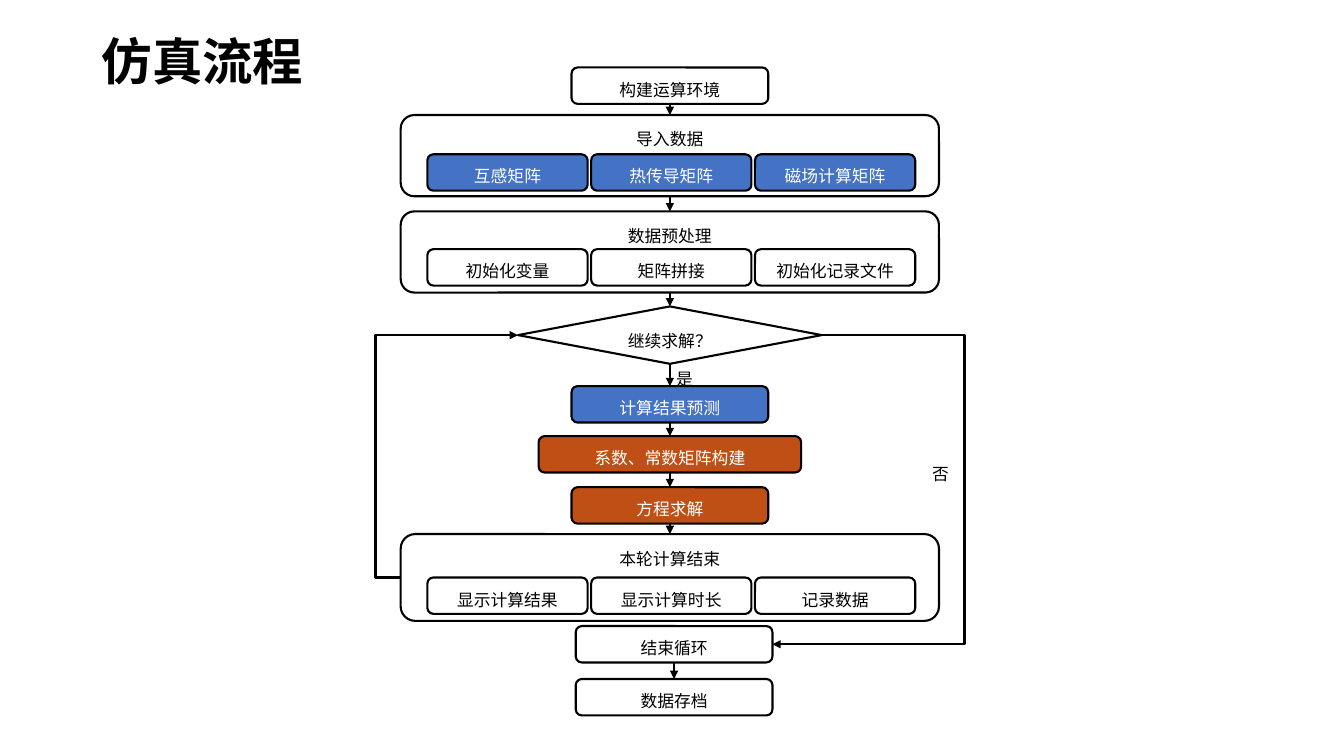
from lxml.etree import SubElement
from pptx import Presentation
from pptx.dml.color import RGBColor
from pptx.enum.shapes import MSO_CONNECTOR, MSO_SHAPE
from pptx.enum.text import MSO_ANCHOR, MSO_AUTO_SIZE, PP_ALIGN
from pptx.oxml.ns import qn
from pptx.util import Pt

COLORS = {"black": "000000", "white": "FFFFFF", "blue": "4472C4", "orange": "C04F15"}
COLORS = {name: RGBColor.from_string(value) for name, value in COLORS.items()}

TOP, LEFT, BOTTOM, RIGHT = range(4)
AXIS = 478.5
END_AXIS = 481.5
STEP_WIDTH, STEP_HEIGHT = 140.5, 26
STAGE_WIDTH = 384.5
PART_WIDTH, PART_PITCH, PART_AXIS = 114.5, 117, 479.5


def add_node(shapes, text, center, top, width=STEP_WIDTH, height=STEP_HEIGHT,
             fill="white", preset=MSO_SHAPE.ROUNDED_RECTANGLE):
    """Add a flowchart box, or a bare label when preset is None."""
    place = Pt(center - width / 2), Pt(top), Pt(width), Pt(height)
    if preset is None:
        box = shapes.add_textbox(*place)
    else:
        box = shapes.add_shape(preset, *place)
        box.shadow.inherit = False
        box.fill.solid()
        box.fill.fore_color.rgb = COLORS[fill]
        box.line.color.rgb = COLORS["black"]
        box.line.width = Pt(1.5)
    frame = box.text_frame
    frame.text = text
    frame.word_wrap = True
    frame.vertical_anchor = MSO_ANCHOR.TOP
    frame.margin_top = 0
    para = frame.paragraphs[0]
    para.alignment = PP_ALIGN.CENTER
    para.line_spacing = 1.5
    font = para.runs[0].font
    font.name = "Arial"
    font.size = Pt(12)
    font.color.rgb = COLORS["black" if fill == "white" else "white"]
    return box


deck = Presentation()
deck.slide_width, deck.slide_height = Pt(960), Pt(540)
page = deck.slides.add_slide(deck.slide_layouts[5])

# Title
title = page.shapes.title
title.left, title.top, title.width, title.height = Pt(65.5), Pt(31.7), Pt(506), Pt(28.8)
title_frame = title.text_frame
title_frame.text = "仿真流程"
title_frame.auto_size = MSO_AUTO_SIZE.NONE
title_frame.vertical_anchor = MSO_ANCHOR.MIDDLE
title_para = title_frame.paragraphs[0]
title_para.alignment = PP_ALIGN.LEFT
title_para.line_spacing = 0.9
title_font = title_para.runs[0].font
title_font.name = "Noto Sans CJK SC"
title_font.size = Pt(36)
title_font.bold = True
title_font.color.rgb = COLORS["black"]
for properties in title.element.iter(qn("a:rPr")):
    SubElement(properties, qn("a:ea"), typeface="Noto Sans CJK SC")

# Single steps
setup = add_node(page.shapes, "构建运算环境", AXIS, 48.2)
decision = add_node(page.shapes, "继续求解？", AXIS, 218.9, 217, 41,
                    preset=MSO_SHAPE.DIAMOND)
predict = add_node(page.shapes, "计算结果预测", AXIS, 275.8, fill="blue")
assemble = add_node(page.shapes, "系数、常数矩阵构建", AXIS, 311.5, 187.5, fill="orange")
solve = add_node(page.shapes, "方程求解", AXIS, 348, fill="orange")
loop_end = add_node(page.shapes, "结束循环", END_AXIS, 447.2)
archive = add_node(page.shapes, "数据存档", END_AXIS, 485)

# Stages that hold three parts each
stages = []
for heading, top, height, part_top, fill, parts in [
    ("导入数据", 82.2, 58, 110.2, "blue", ["互感矩阵", "热传导矩阵", "磁场计算矩阵"]),
    ("数据预处理", 151, 58, 178, "white", ["初始化变量", "矩阵拼接", "初始化记录文件"]),
    ("本轮计算结束", 381.5, 62, 412.5, "white", ["显示计算结果", "显示计算时长", "记录数据"]),
]:
    group = page.shapes.add_group_shape()
    stages.append(add_node(group.shapes, heading, AXIS, top, STAGE_WIDTH, height))
    for column, part in enumerate(parts):
        center = PART_AXIS + (column - 1) * PART_PITCH
        add_node(group.shapes, part, center, part_top, PART_WIDTH, fill=fill)
load, prepare, round_end = stages

# Arrows: start, side, end, side, bend position (None for a straight arrow)
main_path = [setup, load, prepare, decision, predict, assemble, solve, round_end]
arrows = [(start, BOTTOM, end, TOP, None) for start, end in zip(main_path, main_path[1:])]
arrows += [
    (loop_end, BOTTOM, archive, TOP, None),
    (decision, RIGHT, loop_end, RIGHT, -289100),
    (round_end, LEFT, decision, LEFT, -21500),
]
for start, start_side, end, end_side, bend in arrows:
    kind = MSO_CONNECTOR.STRAIGHT if bend is None else MSO_CONNECTOR.ELBOW
    arrow = page.shapes.add_connector(kind, 0, 0, 0, 0)
    arrow.begin_connect(start, start_side)
    arrow.end_connect(end, end_side)
    arrow.line.color.rgb = COLORS["black"]
    arrow.line.width = Pt(1.5)
    shape_properties = arrow.element.find(qn("p:spPr"))
    SubElement(shape_properties.find(qn("a:ln")), qn("a:tailEnd"), type="triangle")
    SubElement(shape_properties, qn("a:effectLst"))
    if bend is not None:
        adjustments = shape_properties.find(qn("a:prstGeom")).find(qn("a:avLst"))
        SubElement(adjustments, qn("a:gd"), name="adj1", fmla=f"val {bend}")

# Branch labels
add_node(page.shapes, "是", 489, 256.3, 33, 16, preset=None)
no_label = add_node(page.shapes, "否", 671.8, 324, 29, 20, preset=None)
no_label.text_frame.word_wrap = False

deck.save("out.pptx")
